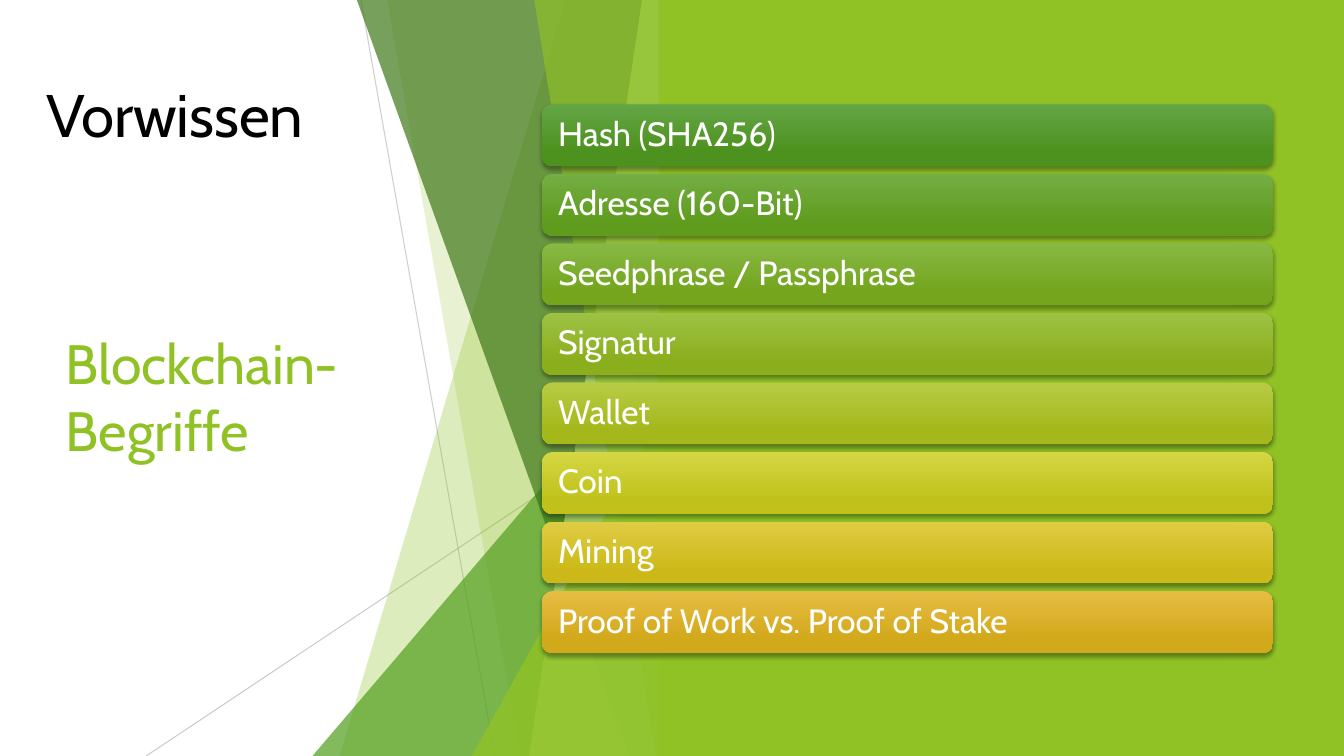
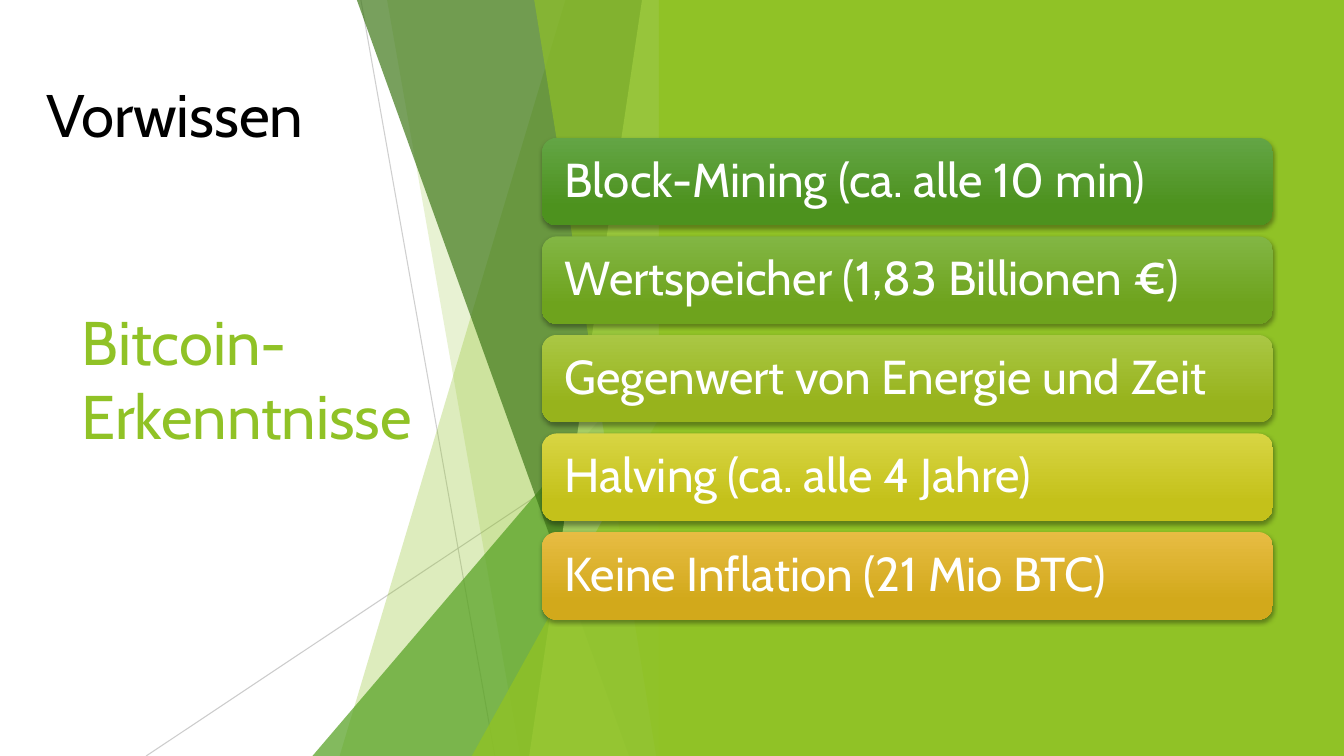
from dataclasses import dataclass

from lxml import etree
from pptx import Presentation
from pptx.dml.color import RGBColor
from pptx.enum.shapes import MSO_CONNECTOR, MSO_SHAPE
from pptx.enum.text import MSO_ANCHOR, MSO_AUTO_SIZE, PP_ALIGN
from pptx.oxml.ns import qn
from pptx.util import Pt

LINE = MSO_CONNECTOR.STRAIGHT
RECT = MSO_SHAPE.RECTANGLE
ROUND = MSO_SHAPE.ROUNDED_RECTANGLE
PEAK = MSO_SHAPE.ISOSCELES_TRIANGLE
MIDDLE = MSO_ANCHOR.MIDDLE
FIXED = MSO_AUTO_SIZE.NONE
LEFT = PP_ALIGN.LEFT
TITLE_ONLY = 5


@dataclass(frozen=True)
class Theme:
    font: str = "Cabin"
    black: str = "000000"
    white: str = "FFFFFF"
    gray: str = "BFBFBF"
    lime: str = "90C226"
    leaf: str = "54A021"
    moss: str = "3F7819"
    pale: str = "C0E474"
    head: float = 42.9
    hair: float = 0.75


@dataclass(frozen=True)
class Box:
    left: float
    top: float
    width: float
    height: float


@dataclass(frozen=True)
class Ray:
    x1: float
    y1: float
    x2: float
    y2: float
    alpha: int


@dataclass(frozen=True)
class Pane:
    head: float
    foot: float
    color: str
    alpha: int


@dataclass(frozen=True)
class Wedge:
    box: Box
    color: str
    alpha: int


@dataclass(frozen=True)
class Bar:
    text: str
    light: str
    dark: str


@dataclass(frozen=True)
class Page:
    title: str
    place: Box
    size: float
    bar_size: float
    bars: tuple[Bar, ...]


THEME = Theme()
WIDE, HIGH = 960, 540
EDGE = 479.5
FIELD = Box(470.6, 0, WIDE - 470.6, HIGH)
TOPIC = Box(25.9, 25.2, 279.4, 111.6)
BAR_LEFT, BAR_WIDTH, BAR_MID = 387.2, 522, 270.5

RAYS = (
    Ray(257.8, 0, 353.5, HIGH, 75),
    Ray(EDGE, 290.2, 104.4, HIGH, 80),
)
FACETS = (
    Pane(403.9, 242.6, THEME.lime, 30),
    Pane(276.5, 371.5, THEME.lime, 20),
    Wedge(Box(223.2, 239.8, 256.3, 300.2), THEME.leaf, 72),
    Pane(254.9, 449.3, THEME.moss, 70),
    Pane(458.6, 378, THEME.pale, 70),
    Pane(381.6, 468.7, THEME.lime, 65),
    Wedge(Box(337, 283, 142.5, 257), THEME.lime, 80),
)
PAGES = (
    Page("Blockchain-Begriffe", Box(39.6, 226.8, 279.4, 111.6), 39.6, 24, (
        Bar("Hash (SHA256)", "63A545", "4D921E"),
        Bar("Adresse (160-Bit)", "74AE44", "5F9C1E"),
        Bar("Seedphrase / Passphrase", "87B844", "74A51D"),
        Bar("Signatur", "9DC244", "8BAE1D"),
        Bar("Wallet", "B7CC44", "A4B81C"),
        Bar("Coin", "D4D643", "C0C21B"),
        Bar("Mining", "E0CC43", "CCB919"),
        Bar("Proof of Work vs. Proof of Stake", "E7BC43", "D2A91B"),
    )),
    Page("Bitcoin-Erkenntnisse", Box(51.1, 108.7, 279.4, 322.6), 44, 34, (
        Bar("Block-Mining (ca. alle 10 min)", "63A545", "4D921E"),
        Bar("Wertspeicher (1,83 Billionen €)", "82B644", "6EA31D"),
        Bar("Gegenwert von Energie und Zeit", "AAC744", "97B31C"),
        Bar("Halving (ca. alle 4 Jahre)", "D8D543", "C4C11A"),
        Bar("Keine Inflation (21 Mio BTC)", "E7BC43", "D2A91B"),
    )),
)


def rgb(code: str) -> RGBColor:
    return RGBColor.from_string(code)


def frame(box: Box) -> tuple:
    return Pt(box.left), Pt(box.top), Pt(box.width), Pt(box.height)


def fade(shape, alpha: int) -> None:
    color = next(shape._element.spPr.iter(qn("a:srgbClr")))
    etree.SubElement(color, qn("a:alpha"), val=str(alpha * 1000))


def paint(shape, color: str, alpha: int = 100) -> None:
    shape.shadow.inherit = False
    shape.line.fill.background()
    shape.fill.solid()
    shape.fill.fore_color.rgb = rgb(color)
    if alpha < 100:
        fade(shape, alpha)


def write(shape, text: str, size: float, color: str) -> None:
    body = shape.text_frame
    body.text = text
    body.word_wrap = True
    body.auto_size = FIXED
    body.vertical_anchor = MIDDLE
    line = body.paragraphs[0]
    line.alignment = LEFT
    line.font.name = THEME.font
    line.font.size = Pt(size)
    line.font.color.rgb = rgb(color)


def draw_ray(slide, ray: Ray) -> None:
    line = slide.shapes.add_connector(
        LINE, Pt(ray.x1), Pt(ray.y1), Pt(ray.x2), Pt(ray.y2))
    line.line.color.rgb = rgb(THEME.gray)
    line.line.width = Pt(THEME.hair)
    fade(line, ray.alpha)
    etree.SubElement(line._element.spPr, qn("a:effectLst"))


def draw_facet(slide, facet: Pane | Wedge) -> None:
    if isinstance(facet, Wedge):
        shape = slide.shapes.add_shape(PEAK, *frame(facet.box))
        shape.adjustments[0] = 1
    else:
        pen = slide.shapes.build_freeform(Pt(facet.head), 0)
        pen.add_line_segments([
            (Pt(EDGE), 0), (Pt(EDGE), Pt(HIGH)), (Pt(facet.foot), Pt(HIGH))])
        shape = pen.convert_to_shape()
    paint(shape, facet.color, facet.alpha)


def add_shade(shape) -> None:
    shape.shadow.inherit = False
    effects = shape._element.spPr.find(qn("a:effectLst"))
    shade = etree.SubElement(
        effects, qn("a:outerShdw"), blurRad=str(Pt(3)), dist=str(Pt(2)),
        dir="5400000", rotWithShape="0")
    color = etree.SubElement(shade, qn("a:srgbClr"), val=THEME.black)
    etree.SubElement(color, qn("a:alpha"), val="35000")


def draw_bar(slide, bar: Bar, box: Box, size: float) -> None:
    shape = slide.shapes.add_shape(ROUND, *frame(box))
    shape.line.fill.background()
    shape.fill.gradient()
    shape.fill.gradient_angle = 270
    stops = shape.fill.gradient_stops
    for stop, spot, color in zip(stops, (0, 0.78), (bar.light, bar.dark)):
        stop.position = spot
        stop.color.rgb = rgb(color)
    add_shade(shape)
    write(shape, bar.text, size, THEME.white)
    body = shape.text_frame
    body.margin_left = body.margin_right = Pt(0.39 * size)
    body.margin_top = body.margin_bottom = 0
    body.paragraphs[0].line_spacing = 0.9


def draw_bars(slide, page: Page) -> None:
    height = 1.84 * page.bar_size
    gap = height / 8
    count = len(page.bars)
    top = BAR_MID - (count * height + (count - 1) * gap) / 2
    for row, bar in enumerate(page.bars):
        box = Box(BAR_LEFT, top + row * (height + gap), BAR_WIDTH, height)
        draw_bar(slide, bar, box, page.bar_size)


def draw_page(deck, page: Page) -> None:
    slide = deck.slides.add_slide(deck.slide_layouts[TITLE_ONLY])
    title = slide.shapes.title
    title.left, title.top, title.width, title.height = frame(page.place)
    write(title, page.title, page.size, THEME.lime)
    for ray in RAYS:
        draw_ray(slide, ray)
    for facet in FACETS:
        draw_facet(slide, facet)
    paint(slide.shapes.add_shape(RECT, *frame(FIELD)), THEME.lime)
    draw_bars(slide, page)
    topic = slide.shapes.add_textbox(*frame(TOPIC))
    write(topic, "Vorwissen", THEME.head, THEME.black)


def main() -> None:
    deck = Presentation()
    deck.slide_width, deck.slide_height = Pt(WIDE), Pt(HIGH)
    for page in PAGES:
        draw_page(deck, page)
    deck.save("out.pptx")


if __name__ == "__main__":
    main()
